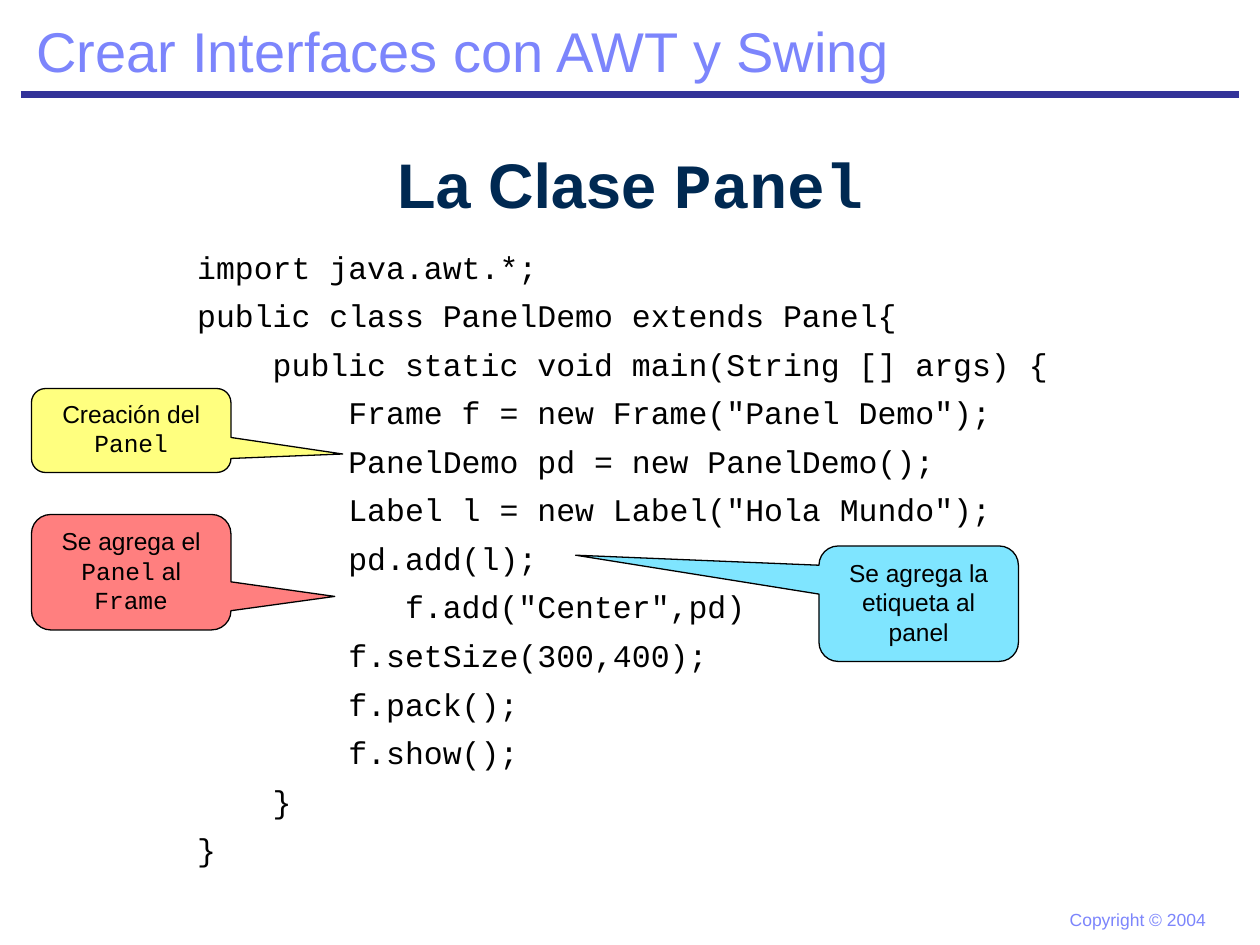
from lxml.etree import SubElement
from pptx import Presentation
from pptx.dml.color import RGBColor
from pptx.enum.shapes import MSO_CONNECTOR, MSO_SHAPE
from pptx.enum.text import MSO_ANCHOR as Anchor, MSO_AUTO_SIZE as AutoSize, PP_ALIGN as Align
from pptx.oxml.ns import qn
from pptx.util import Inches, Pt

# The slide is a grid of 120 columns by 90 rows; boxes are (column, row, columns, rows)
WIDTH, HEIGHT = Inches(10), Inches(7.5)
COLUMN, ROW = WIDTH / 120, HEIGHT / 90
SANS, MONO = "Arial", "Courier New"
COLORS = {
    "rule": "333399", "header": "7C85FC", "title": "002952", "text": "000000",
    "yellow": "FFFF00", "red": "FF0000", "cyan": "00CCFF",
}

CODE = '''import java.awt.*;
public class PanelDemo extends Panel{
    public static void main(String [] args) {
        Frame f = new Frame("Panel Demo");
        PanelDemo pd = new PanelDemo();
        Label l = new Label("Hola Mundo");
        pd.add(l);
           f.add("Center",pd)
        f.setSize(300,400);
        f.pack();
        f.show();
    }
}'''

# Box, pointer tip (shares of the box from its centre), fill, runs
CALLOUTS = [
    ((3, 37, 19, 8), (1.06, 0.28), "yellow",
     [("Creación del ", SANS), ("Panel", MONO)]),
    ((3, 49, 19, 11), (1.02, 0.21), "red",
     [("Se agrega el ", SANS), ("Panel", MONO), (" al ", SANS), ("Frame", MONO)]),
    ((78, 52, 19, 11), (-1.72, -0.42), "cyan",
     [("Se agrega la etiqueta al panel", SANS)]),
]


def place(box):
    column, row, columns, rows = box
    return (round(column * COLUMN), round(row * ROW),
            round(columns * COLUMN), round(rows * ROW))


def rgb(name):
    return RGBColor.from_string(COLORS[name])


def add_runs(paragraph, runs, size, color, bold=False):
    for words, typeface in runs:
        run = paragraph.add_run()
        run.text = words
        run.font.name, run.font.size, run.font.bold = typeface, Pt(size), bold
        run.font.color.rgb = rgb(color)


def add_rule(slide, left, right, row):
    y = round(row * ROW)
    rule = slide.shapes.add_connector(
        MSO_CONNECTOR.STRAIGHT, round(left * COLUMN), y, round(right * COLUMN), y)
    rule.line.color.rgb = rgb("rule")
    rule.line.width = Pt(4.5)
    SubElement(rule._element.spPr, qn("a:effectLst"))


def add_label(slide, box, words, size):
    frame = slide.shapes.add_textbox(*place(box)).text_frame
    frame.word_wrap = False
    add_runs(frame.paragraphs[0], [(words, SANS)], size, "header")


def set_title(slide, box):
    title = slide.shapes.title
    title.left, title.top, title.width, title.height = place(box)
    frame = title.text_frame
    frame.auto_size = AutoSize.NONE
    frame.vertical_anchor = Anchor.MIDDLE
    frame.paragraphs[0].alignment = Align.CENTER
    add_runs(frame.paragraphs[0], [("La Clase ", SANS), ("Panel", MONO)],
             36, "title", bold=True)


def add_code(slide, box):
    frame = slide.shapes.add_textbox(*place(box)).text_frame
    frame.word_wrap = True
    for number, statement in enumerate(CODE.splitlines()):
        paragraph = frame.add_paragraph() if number else frame.paragraphs[0]
        # Hanging indent
        indent = paragraph._p.get_or_add_pPr()
        indent.set("marL", str(Inches(0.49)))
        indent.set("indent", str(Inches(-0.19)))
        paragraph.line_spacing, paragraph.space_after = Pt(21.7), Pt(6)
        add_runs(paragraph, [(statement, MONO)], 18, "text")


def add_callout(slide, box, tip, color, runs):
    callout = slide.shapes.add_shape(MSO_SHAPE.ROUNDED_RECTANGULAR_CALLOUT, *place(box))
    callout.adjustments[0], callout.adjustments[1] = tip
    callout.shadow.inherit = False
    callout.fill.solid()
    callout.fill.fore_color.rgb = rgb(color)
    # Half-transparent fill
    shade = callout._element.spPr.find(qn("a:solidFill")).find(qn("a:srgbClr"))
    SubElement(shade, qn("a:alpha"), val="50000")
    callout.line.color.rgb = rgb("text")
    callout.line.width = Pt(0.75)
    frame = callout.text_frame
    frame.word_wrap = True
    frame.vertical_anchor = Anchor.TOP
    frame.paragraphs[0].alignment = Align.CENTER
    add_runs(frame.paragraphs[0], runs, 14, "text")


def main():
    deck = Presentation()
    deck.slide_width, deck.slide_height = WIDTH, HEIGHT
    slide = deck.slides.add_slide(deck.slide_layouts[5])
    # Header and footer
    add_rule(slide, 2, 118, 9)
    add_label(slide, (100.7, 86, 15.4, 3.2), "Copyright © 2004", 10)
    add_label(slide, (2.3, 1, 84.2, 7.7), "Crear Interfaces con AWT y Swing", 32)
    # Title, program and its explanations
    set_title(slide, (0, 13, 120, 9))
    add_code(slide, (14, 23, 102, 58))
    for callout in CALLOUTS:
        add_callout(slide, *callout)
    deck.save("out.pptx")


if __name__ == "__main__":
    main()
